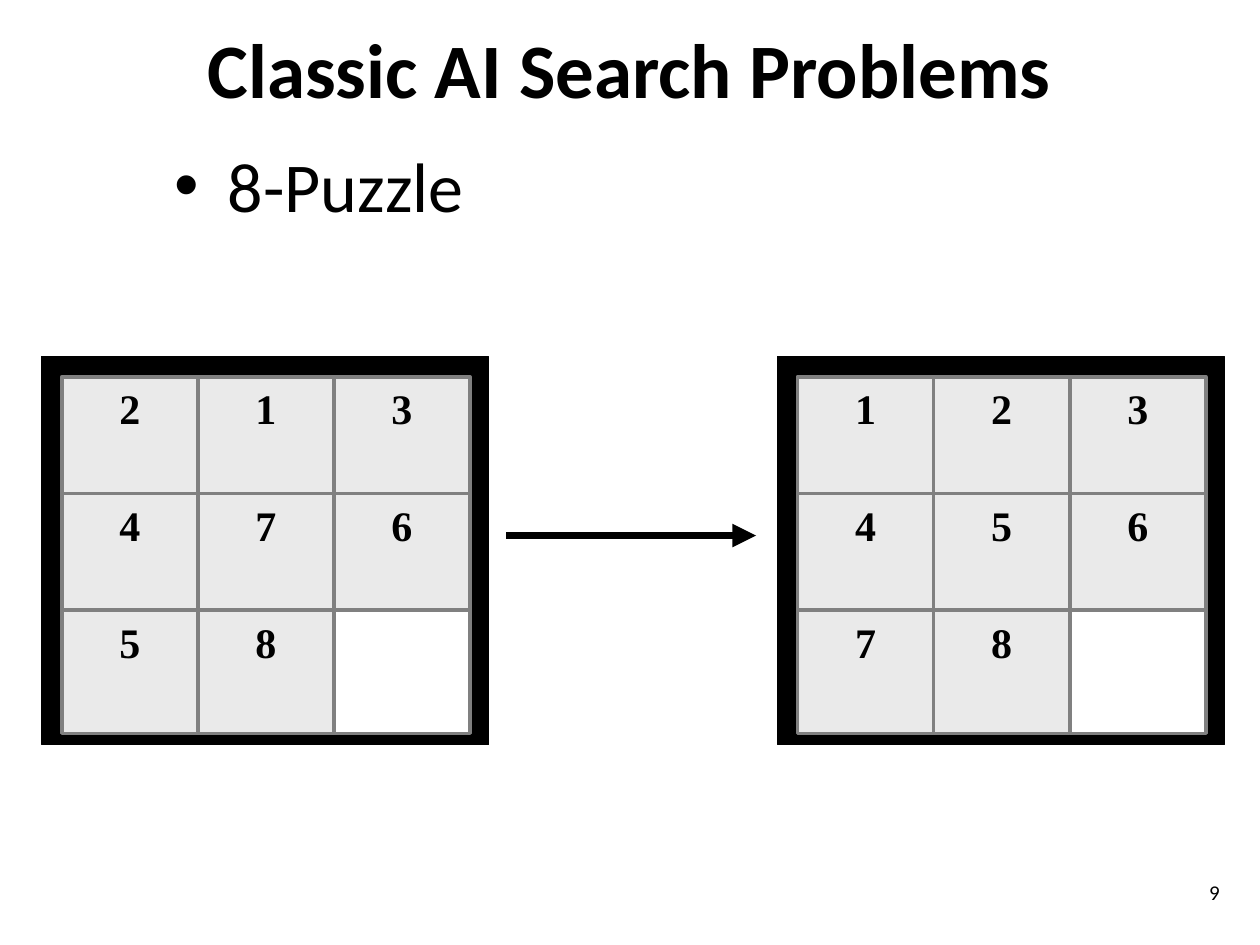
from lxml.etree import SubElement
from pptx import Presentation
from pptx.dml.color import RGBColor
from pptx.enum.shapes import MSO_CONNECTOR as CONNECTOR, MSO_SHAPE as SHAPE
from pptx.enum.text import MSO_ANCHOR as ANCHOR, MSO_AUTO_SIZE as AUTO_SIZE, PP_ALIGN as ALIGN
from pptx.oxml.ns import qn
from pptx.util import Inches, Pt

BLACK, WHITE, TILE_GREY, EDGE_GREY = "000000", "FFFFFF", "EAEAEA", "808080"
START = ["213", "476", "58 "]
GOAL = ["123", "456", "78 "]


def color(value):
    """Return the colour for a hex string."""
    return RGBColor.from_string(value)


def write(frame, text, size, font="Calibri", bold=False, align=ALIGN.LEFT, anchor=ANCHOR.TOP):
    """Fill a text frame with one formatted paragraph and return the paragraph."""
    frame.text = text
    frame.word_wrap = True
    frame.auto_size = AUTO_SIZE.NONE
    frame.vertical_anchor = anchor
    paragraph = frame.paragraphs[0]
    paragraph.alignment = align
    run_font = paragraph.runs[0].font
    run_font.name, run_font.size, run_font.bold = font, Pt(size), bold
    run_font.color.rgb = color(BLACK)
    return paragraph


def add_title(slide, left, top, width, height):
    """Place and format the slide title."""
    title = slide.shapes.title
    title.left, title.top = Inches(left), Inches(top)
    title.width, title.height = Inches(width), Inches(height)
    write(title.text_frame, "Classic AI Search Problems", 44, bold=True,
          align=ALIGN.CENTER, anchor=ANCHOR.MIDDLE)


def add_topic(slide, left, top, width, height):
    """Add the bulleted name of the problem."""
    topic = slide.shapes.add_textbox(Inches(left), Inches(top), Inches(width), Inches(height))
    properties = write(topic.text_frame, "8-Puzzle", 40)._p.get_or_add_pPr()
    properties.set("marL", str(Inches(0.42)))
    properties.set("indent", str(-Inches(0.42)))
    SubElement(properties, qn("a:buFont"), typeface="Arial")
    SubElement(properties, qn("a:buChar"), char="•")


def add_page_number(slide, left, top, width, height):
    """Add the slide number."""
    number = slide.shapes.add_textbox(Inches(left), Inches(top), Inches(width), Inches(height))
    write(number.text_frame, "9", 12, align=ALIGN.RIGHT, anchor=ANCHOR.MIDDLE)


def add_square(board, left, top, width, height, fill, edge, edge_width):
    """Add a filled and outlined rectangle to a board."""
    square = board.shapes.add_shape(SHAPE.RECTANGLE, Inches(left), Inches(top),
                                    Inches(width), Inches(height))
    square.shadow.inherit = False
    square.fill.solid()
    square.fill.fore_color.rgb = color(fill)
    square.line.color.rgb = color(edge)
    square.line.width = Pt(edge_width)
    return square


def add_board(slide, left, top, width, height, rows):
    """Add a framed three by three board, where a space marks the empty cell."""
    board = slide.shapes.add_group_shape()
    add_square(board, left, top, width, height, BLACK, BLACK, 0.75)
    margin, tile_width, tile_height, row_step = 0.16, 1.08, 0.98, 0.925
    for row, digits in enumerate(rows):
        for column, digit in enumerate(digits):
            is_tile = digit != " "
            tile = add_square(board, left + margin + column * tile_width,
                              top + margin + row * row_step, tile_width, tile_height,
                              TILE_GREY if is_tile else WHITE, EDGE_GREY, 2)
            if is_tile:
                write(tile.text_frame, digit, 24, "Times New Roman", True, ALIGN.CENTER)


def add_arrow(slide, left, right, y):
    """Add the horizontal arrow from the start board to the goal board."""
    arrow = slide.shapes.add_connector(CONNECTOR.STRAIGHT, Inches(left), Inches(y),
                                       Inches(right), Inches(y))
    arrow.line.color.rgb = color(BLACK)
    arrow.line.width = Pt(4.5)
    SubElement(arrow.line._get_or_add_ln(), qn("a:tailEnd"), type="triangle")
    SubElement(arrow._element.spPr, qn("a:effectLst"))


def main():
    """Build the slide and save it."""
    deck = Presentation()
    deck.slide_width, deck.slide_height = Inches(10), Inches(7.5)
    slide = deck.slides.add_slide(deck.slide_layouts[5])
    add_page_number(slide, 7.7, 6.83, 2.08, 0.5)
    add_title(slide, 0, 0, 10, 1.08)
    add_topic(slide, 1.29, 1.08, 8.21, 1.46)
    for left, rows in ((0.33, START), (6.17, GOAL)):
        add_board(slide, left, 2.83, 3.55, 3.08, rows)
    add_arrow(slide, 4.02, 6, 4.25)
    deck.save("out.pptx")


if __name__ == "__main__":
    main()
